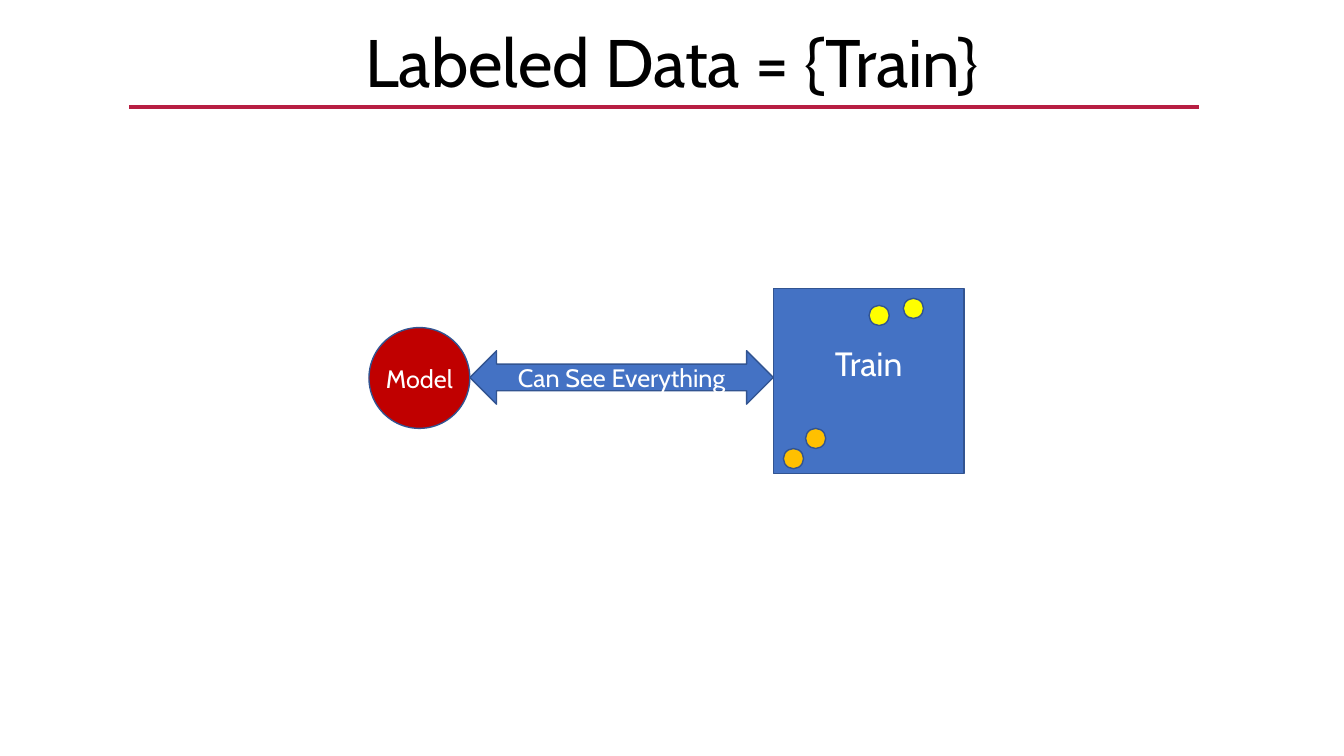
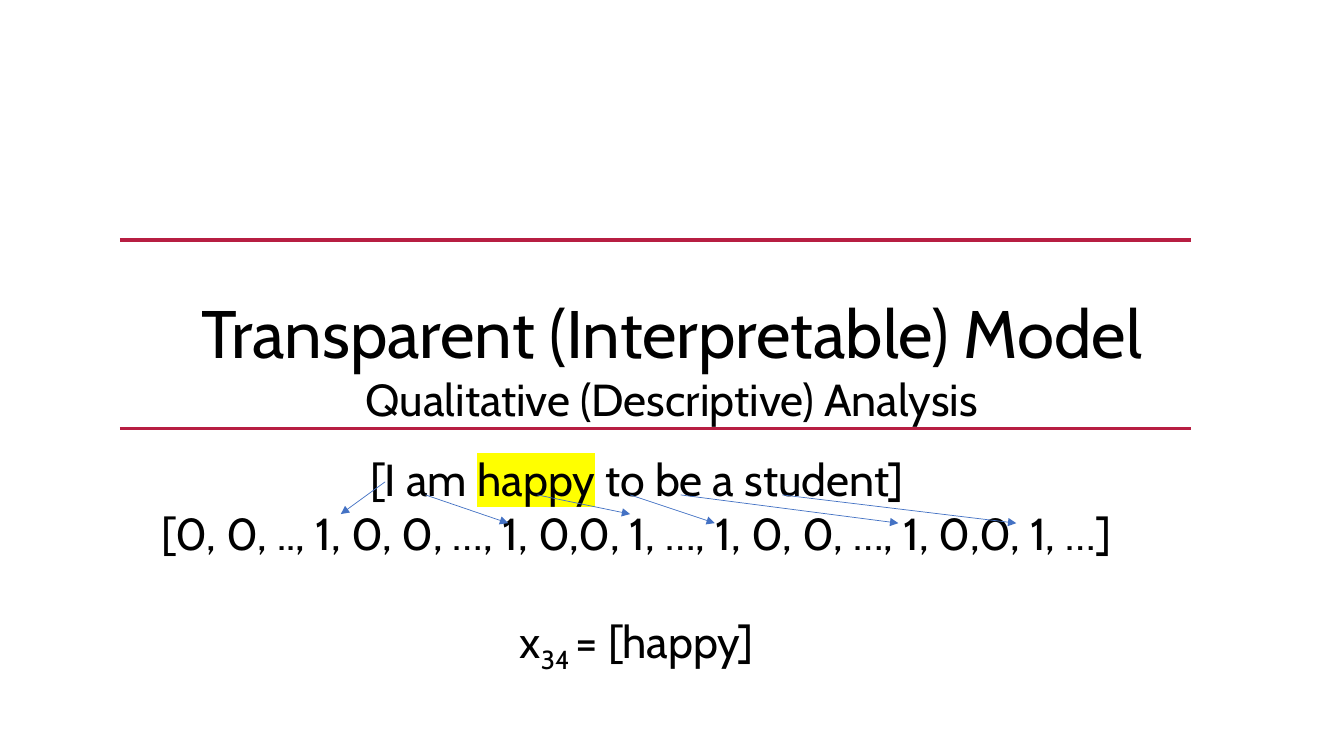
from dataclasses import dataclass

from lxml import etree
from pptx import Presentation
from pptx.dml.color import RGBColor
from pptx.enum.shapes import MSO_CONNECTOR, MSO_SHAPE
from pptx.enum.text import MSO_ANCHOR, PP_ALIGN
from pptx.oxml.ns import qn
from pptx.util import Emu, Pt

STRAIGHT = MSO_CONNECTOR.STRAIGHT
RECT, OVAL = MSO_SHAPE.RECTANGLE, MSO_SHAPE.OVAL
DOUBLE_ARROW = MSO_SHAPE.LEFT_RIGHT_ARROW
CENTER, MIDDLE = PP_ALIGN.CENTER, MSO_ANCHOR.MIDDLE

PX = 9144  # 100 px to the inch
SLIDE_W, SLIDE_H = 1333, 750


@dataclass(frozen=True)
class Theme:
    font: str = "Cabin"
    ink: str = "000000"
    white: str = "FFFFFF"
    rule: str = "B71E42"
    blue: str = "4472C4"
    outline: str = "325491"
    red: str = "C00000"
    yellow: str = "FFFF00"
    orange: str = "FFC000"
    title: int = 48
    body: int = 32
    label: int = 24
    small: int = 18
    rule_w: float = 2.5
    outline_w: float = 1
    arrow_w: float = 0.5


T = Theme()

# Slide 1
DATA_TITLE = "Labeled Data = {Train}"
TRAIN_BOX = (767, 286, 189, 184)
TRAIN_LABEL = (767, 335, 189, 50)
DOT = 20
DOTS = [(896, 296, T.yellow), (862, 303, T.yellow),
        (799, 425, T.orange), (777, 445, T.orange)]
MODEL = (366, 325, 100, 100)
LINK = (466, 348, 301, 53)

# Slide 2
MODEL_TITLE = "Transparent (Interpretable) Model"
MODEL_SUBTITLE = "Qualitative (Descriptive) Analysis"
SENTENCE = [("[I am ", None), ("happy", "highlight"), (" to be a student]", None)]
VECTOR = [("[0, 0, .., 1, 0, 0, …, 1, 0,0, 1, …, 1, 0, 0, …, 1, 0,0, 1, …]", None)]
FEATURE = [("x", None), ("34 ", "subscript"), ("= [happy]", None)]
FEATURE_GAP = 39
WORD_ARROWS = [  # word x, y to vector x, y
    (382, 478, 338, 510), (422, 491, 504, 519), (533, 491, 625, 510),
    (625, 491, 709, 519), (675, 491, 891, 519), (776, 491, 1008, 519),
]


def px(*values):
    return [Emu(v * PX) for v in values]


def rgb(color):
    return RGBColor.from_string(color)


def style_run(r, size, color, mark=None):
    f = r.font
    f.name, f.size, f.color.rgb = T.font, Pt(size), rgb(color)
    rPr = r._r.get_or_add_rPr()
    if mark == "highlight":
        highlight = etree.Element(qn("a:highlight"))
        etree.SubElement(highlight, qn("a:srgbClr"), val=T.yellow)
        rPr.find(qn("a:solidFill")).addnext(highlight)
    elif mark == "subscript":
        rPr.set("baseline", "-25000")


def write(tf, paragraphs, color=T.ink):
    """Fill a frame from (runs, size, space before); a run is (text, mark)."""
    tf.word_wrap = True
    for i, (runs, size, before) in enumerate(paragraphs):
        p = tf.add_paragraph() if i else tf.paragraphs[0]
        p.alignment, p.space_before = CENTER, Pt(before)
        for text, mark in runs:
            r = p.add_run()
            r.text = text
            style_run(r, size, color, mark)


def plain(text, size):
    return [(text, None)], size, 0


def add_text(s, box, paragraphs, color=T.ink):
    write(s.shapes.add_textbox(*px(*box)).text_frame, paragraphs, color)


def add_shape(s, kind, box, fill, text=None, inset=None):
    sp = s.shapes.add_shape(kind, *px(*box))
    sp.shadow.inherit = False
    sp.fill.solid()
    sp.fill.fore_color.rgb = rgb(fill)
    sp.line.color.rgb, sp.line.width = rgb(T.outline), Pt(T.outline_w)
    if text:
        tf = sp.text_frame
        tf.vertical_anchor = MIDDLE
        if inset is not None:
            tf.margin_left = tf.margin_right = inset
            tf.margin_top = tf.margin_bottom = inset
        write(tf, [plain(text, T.small)], T.white)


def add_line(s, ends, color, width, arrow=False):
    line = s.shapes.add_connector(STRAIGHT, *px(*ends))
    line.line.color.rgb, line.line.width = rgb(color), Pt(width)
    if arrow:
        etree.SubElement(line.line._get_or_add_ln(), qn("a:tailEnd"), type="triangle")
    etree.SubElement(line._element.spPr, qn("a:effectLst"))


def add_rule(s, left, right, y):
    add_line(s, (left, y, right, y), T.rule, T.rule_w)


def add_title(s, top, height, paragraphs):
    add_text(s, (0, top, SLIDE_W, height), paragraphs)


def build_data_slide(s):
    add_title(s, 15, 91, [plain(DATA_TITLE, T.title)])
    add_rule(s, 128, 1189, 106)
    add_shape(s, RECT, TRAIN_BOX, T.blue)
    for x, y, color in DOTS:
        add_shape(s, OVAL, (x, y, DOT, DOT), color)
    add_text(s, TRAIN_LABEL, [plain("Train", T.label)], T.white)
    add_shape(s, OVAL, MODEL, T.red, "Model", inset=0)
    add_shape(s, DOUBLE_ARROW, LINK, T.blue, "Can See Everything")


def build_model_slide(s):
    for y in (238, 425):
        add_rule(s, 119, 1181, y)
    add_title(s, 284, 145, [plain(MODEL_TITLE, T.title), plain(MODEL_SUBTITLE, T.body)])
    add_text(s, (119, 443, 1025, 226), [
        (SENTENCE, T.body, 0), (VECTOR, T.body, 0), (FEATURE, T.body, FEATURE_GAP)])
    for ends in WORD_ARROWS:
        add_line(s, ends, T.blue, T.arrow_w, arrow=True)


def main():
    prs = Presentation()
    prs.slide_width, prs.slide_height = px(SLIDE_W, SLIDE_H)
    for build in (build_data_slide, build_model_slide):
        build(prs.slides.add_slide(prs.slide_layouts[6]))
    prs.save("out.pptx")


if __name__ == "__main__":
    main()
